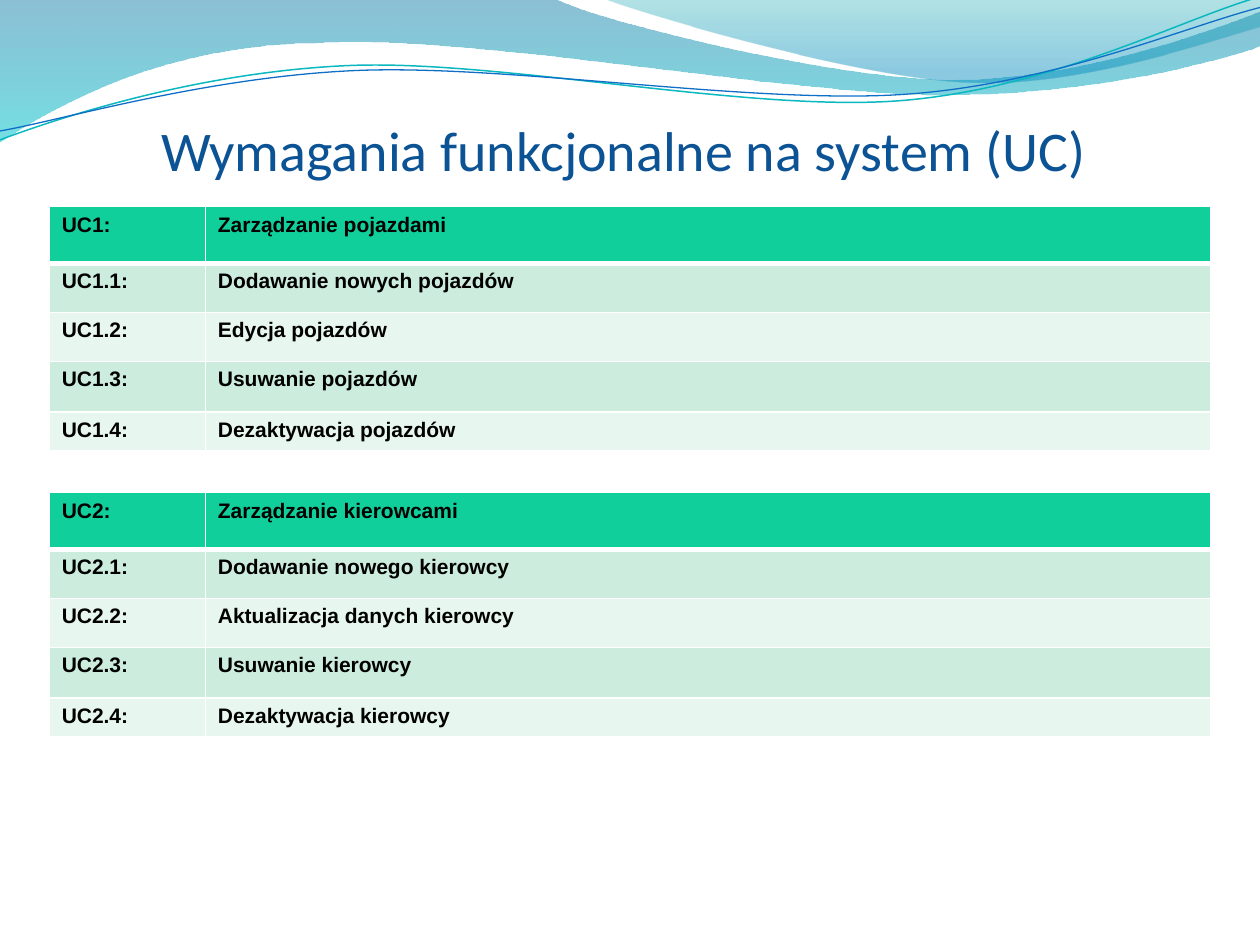
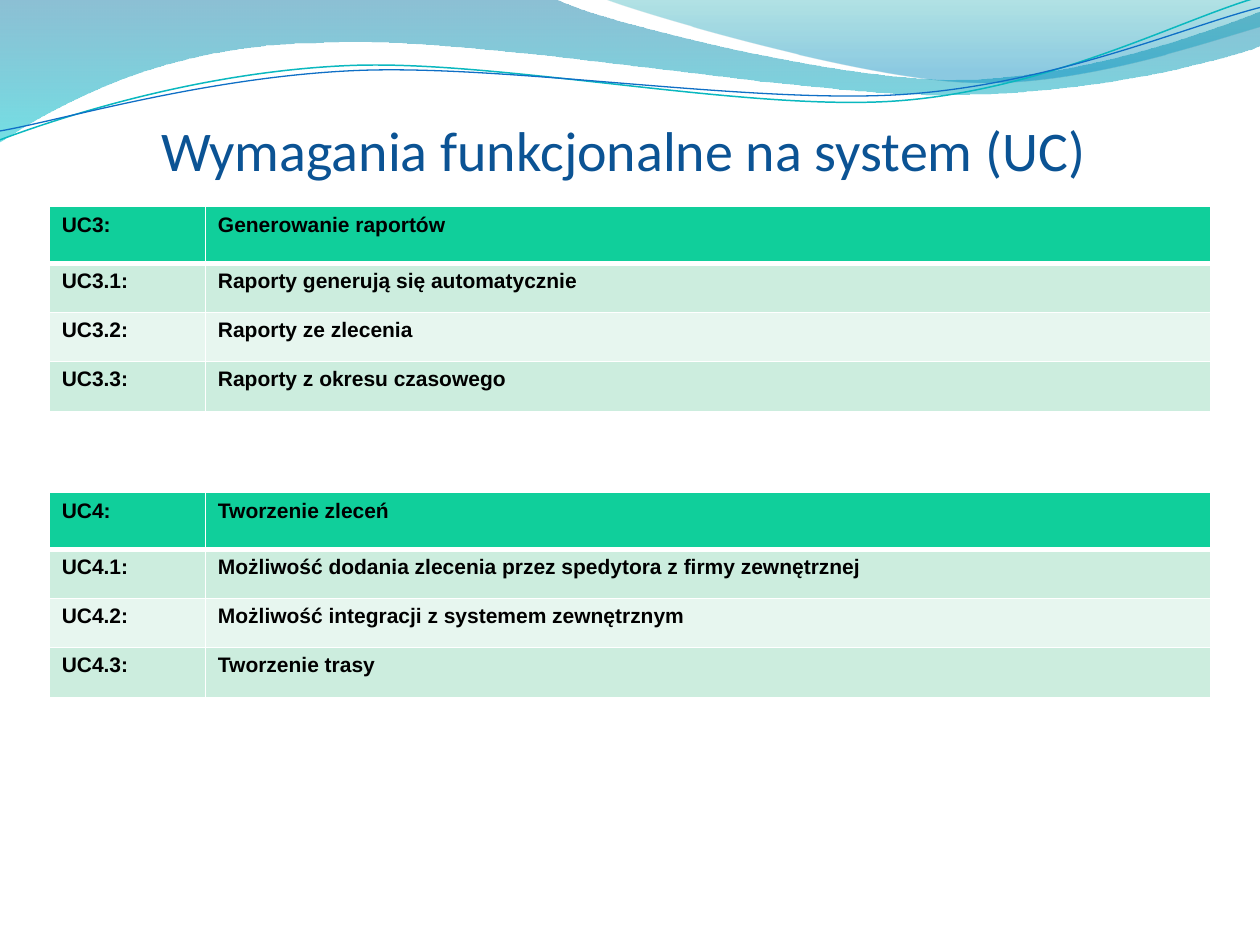
from math import cos, radians, sin

from lxml import etree
from pptx import Presentation
from pptx.dml.color import RGBColor
from pptx.enum.text import MSO_ANCHOR, PP_ALIGN
from pptx.oxml.ns import qn
from pptx.util import Inches, Pt

CENTER = PP_ALIGN.CENTER
MIDDLE = MSO_ANCHOR.MIDDLE

TITLE = "Wymagania funkcjonalne na system (UC)"
TITLE_BOX = (0.7, 0.71, 8.5, 0.94)
TITLE_COLOR = "0B5394"
TEXT_COLOR = "000000"
BORDER_COLOR = "FFFFFF"
HEADER_FILL = "10CF9B"
BAND_FILLS = ("CCEDDE", "E7F6EF")

TABLE_LEFT = 0.39
TABLE_TOPS = (1.64, 3.91)
COLUMN_WIDTHS = (1.24, 7.98)
ROW_HEIGHTS = (0.45, 0.39, 0.39, 0.4, 0.31)

# An outline is a list of steps: two numbers for a straight line to a point,
# six for a cubic curve (two control points, then the end point).
WIDE_WAVE = [
    (0, -0.01), (4.4, -0.01),
    (4.76, 0.17, 6.64, 0.63, 7.58, 0.63), (8.53, 0.63, 9.58, 0.26, 10, 0.09),
    (10.01, 0.36),
    (9.83, 0.44, 8.7, 0.76, 7.46, 0.75), (6.22, 0.75, 3.82, 0.28, 2.57, 0.34),
    (1.29, 0.35, 0.46, 0.83, -0.01, 1.13),
]
RIGHT_WAVE = [
    (4.79, -0.01),
    (5.09, 0.11, 6.82, 0.62, 7.69, 0.65), (8.56, 0.69, 9.61, 0.32, 10, 0.21),
    (10, 0),
]
TEAL_LINE = [
    (0, 1.11),
    (0.48, 0.93, 1.58, 0.57, 2.77, 0.52), (3.95, 0.47, 5.93, 0.89, 7.13, 0.8),
    (8.33, 0.71, 9.38, 0.15, 9.98, -0.02),
]
BLUE_LINE = [
    (0, 1.04),
    (0.47, 0.96, 1.64, 0.61, 2.83, 0.56), (4.03, 0.51, 5.97, 0.83, 7.17, 0.75),
    (8.36, 0.67, 9.41, 0.21, 10, 0.06),
]

# Gradient stops: position, colour, opacity in percent.
WAVES = [
    (WIDE_WAVE, [(0, "0074A1", 45), (1, "00C6CF", 55)]),
    (RIGHT_WAVE, [(0, "00A1A9", 30), (0.8, "008BBF", 45)]),
]
# Outline, colour, width and the centre the line is turned about.
WAVE_LINES = [
    (TEAL_LINE, "0AB8BF", 0.85, (4.99, 0.58)),
    (BLUE_LINE, "0F6FC6", 0.75, (5, 0.59)),
]
LINE_TILT = -2.7

SLIDES = [
    [
        ("UC1", ["Zarządzanie pojazdami", "Dodawanie nowych pojazdów", "Edycja pojazdów",
                 "Usuwanie pojazdów", "Dezaktywacja pojazdów"]),
        ("UC2", ["Zarządzanie kierowcami", "Dodawanie nowego kierowcy",
                 "Aktualizacja danych kierowcy", "Usuwanie kierowcy",
                 "Dezaktywacja kierowcy"]),
    ],
    [
        ("UC3", ["Generowanie raportów", "Raporty generują się automatycznie",
                 "Raporty ze zlecenia", "Raporty z okresu czasowego"]),
        ("UC4", ["Tworzenie zleceń",
                 "Możliwość dodania zlecenia przez spedytora z firmy zewnętrznej",
                 "Możliwość integracji z systemem zewnętrznym", "Tworzenie trasy"]),
    ],
]


def rgb(value):
    return RGBColor.from_string(value)


def set_font(para, name, size, color, bold=False):
    para.font.name = name
    para.font.size = Pt(size)
    para.font.bold = bold
    para.font.color.rgb = rgb(color)


def turn(step, pivot, degrees):
    """Turn every point of an outline step clockwise about the pivot."""
    cosine, sine = cos(radians(degrees)), sin(radians(degrees))
    turned = []
    for x, y in zip(step[::2], step[1::2]):
        dx, dy = x - pivot[0], y - pivot[1]
        turned += [pivot[0] + dx * cosine - dy * sine,
                   pivot[1] + dx * sine + dy * cosine]
    return turned


def add_outline(page, outline, close):
    """Draw all points with straight lines, then merge triples into curves."""
    start, *rest = [(Inches(x), Inches(y)) for step in outline
                    for x, y in zip(step[::2], step[1::2])]
    builder = page.shapes.build_freeform(*start)
    builder.add_line_segments(rest, close=close)
    shape = builder.convert_to_shape()
    shape.shadow.inherit = False
    lines = iter(list(shape._element.iter(qn("a:lnTo"))))
    for step in outline[1:]:
        segment = next(lines)
        if len(step) == 6:
            segment.addprevious(curve := etree.Element(qn("a:cubicBezTo")))
            for line in (segment, next(lines), next(lines)):
                curve.append(line[0])
                line.getparent().remove(line)
    return shape


def fill_gradient(shape, stops):
    """Fill from top to bottom with partly transparent colours."""
    shape.fill.gradient()
    shape.fill.gradient_angle = 270
    for stop, (position, color, _) in zip(shape.fill.gradient_stops, stops):
        stop.position = position
        stop.color.rgb = rgb(color)
    colors = shape._element.spPr.find(qn("a:gradFill")).iter(qn("a:srgbClr"))
    for element, (_, _, opacity) in zip(colors, stops):
        etree.SubElement(element, qn("a:alpha"), val=str(opacity * 1000))


def add_wave_band(page):
    """Draw the band on a page and move it to the layout all slides share."""
    for outline, stops in WAVES:
        wave = add_outline(page, outline, close=True)
        fill_gradient(wave, stops)
        wave.line.fill.background()
    for outline, color, width, pivot in WAVE_LINES:
        level = [turn(step, pivot, -LINE_TILT) for step in outline]
        curve = add_outline(page, level, close=False)
        curve.rotation = LINE_TILT
        curve.fill.background()
        curve.line.color.rgb = rgb(color)
        curve.line.width = Pt(width)
    for shape in list(page.shapes):
        page.slide_layout.shapes.element.append(shape._element)


def add_title(page, box):
    frame = page.shapes.add_textbox(*map(Inches, box)).text_frame
    frame.word_wrap = True
    frame.vertical_anchor = MIDDLE
    para = frame.paragraphs[0]
    para.text = TITLE
    para.alignment = CENTER
    set_font(para, "Calibri", 32, TITLE_COLOR)


def set_borders(cell, top, bottom):
    """Draw the cell's borders; must run before the cell is filled."""
    properties = cell._tc.get_or_add_tcPr()
    for side, width in (("L", 1), ("R", 1), ("T", top), ("B", bottom)):
        line = etree.SubElement(properties, qn(f"a:ln{side}"), w=str(Pt(width)))
        fill = etree.SubElement(line, qn("a:solidFill"))
        etree.SubElement(fill, qn("a:srgbClr"), val=BORDER_COLOR)


def add_use_cases(page, left, top, code, names):
    heights = ROW_HEIGHTS[:len(names)]
    table = page.shapes.add_table(
        len(names), 2, Inches(left), Inches(top),
        Inches(sum(COLUMN_WIDTHS)), Inches(sum(heights))).table
    table.first_row = table.horz_banding = False
    for column, width in zip(table.columns, COLUMN_WIDTHS):
        column.width = Inches(width)
    for index, (name, height) in enumerate(zip(names, heights)):
        row = table.rows[index]
        row.height = Inches(height)
        label = f"{code}.{index}:" if index else f"{code}:"
        fill = BAND_FILLS[(index - 1) % 2] if index else HEADER_FILL
        for cell, text in zip(row.cells, (label, name)):
            set_borders(cell, top=3 if index == 1 else 1, bottom=1 if index else 3)
            cell.fill.solid()
            cell.fill.fore_color.rgb = rgb(fill)
            cell.text = text
            set_font(cell.text_frame.paragraphs[0], "Arial", 12, TEXT_COLOR, bold=True)


def fill_requirements_slide(page, groups):
    add_title(page, TITLE_BOX)
    for top, (code, names) in zip(TABLE_TOPS, groups):
        add_use_cases(page, TABLE_LEFT, top, code, names)


def main():
    deck = Presentation()
    deck.slide_width, deck.slide_height = Inches(10), Inches(7.5)
    pages = [deck.slides.add_slide(deck.slide_layouts[6]) for _ in SLIDES]
    add_wave_band(pages[0])
    for page, groups in zip(pages, SLIDES):
        fill_requirements_slide(page, groups)
    deck.save("out.pptx")


if __name__ == "__main__":
    main()
